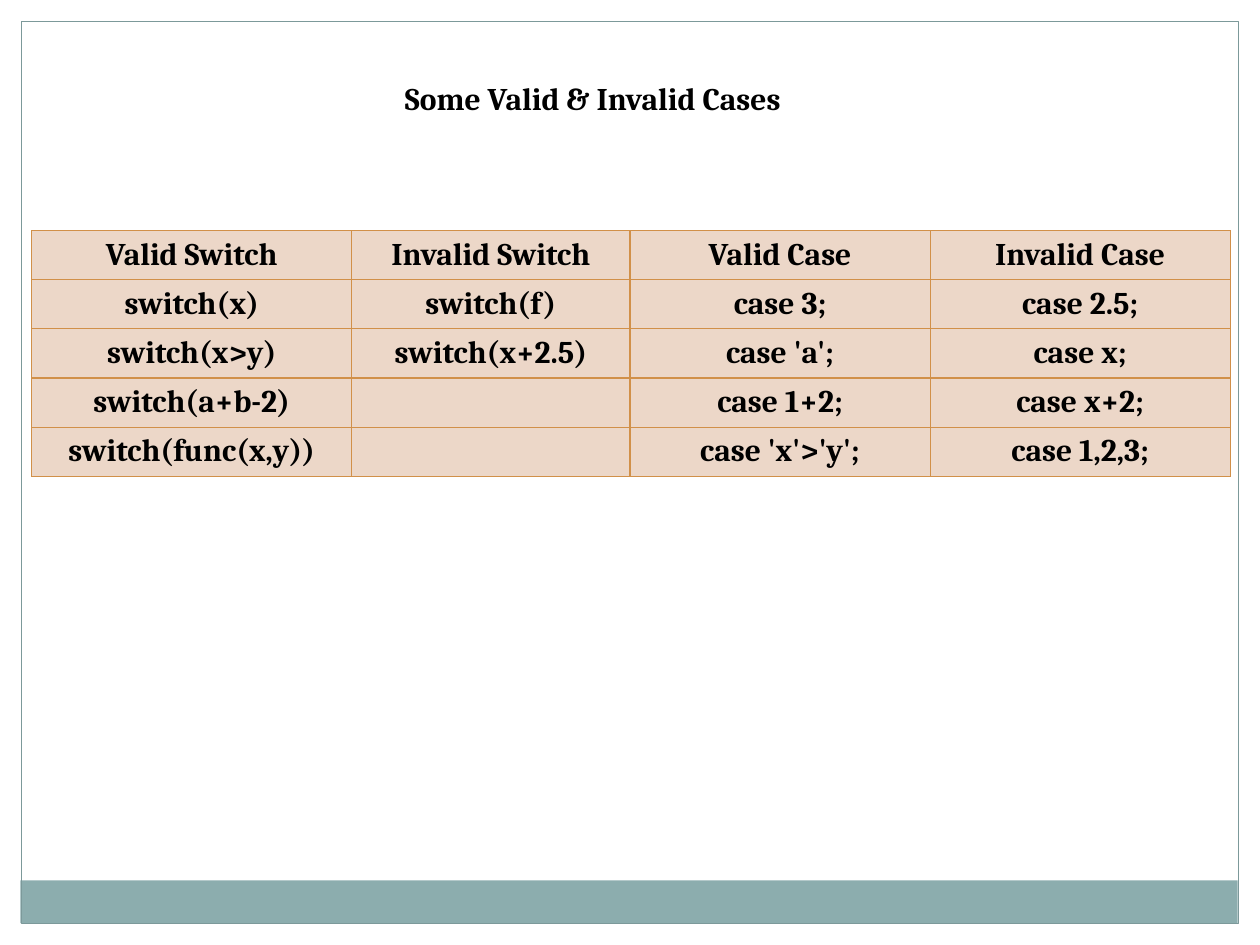
from lxml.etree import SubElement
from pptx import Presentation
from pptx.dml.color import RGBColor
from pptx.enum.shapes import MSO_SHAPE
from pptx.enum.text import MSO_ANCHOR, PP_ALIGN
from pptx.oxml.ns import qn
from pptx.util import Cm, Pt

TITLE = "Some Valid & Invalid Cases"
ROWS = [
    ("Valid Switch", "Invalid Switch", "Valid Case", "Invalid Case"),
    ("switch(x)", "switch(f)", "case 3;", "case 2.5;"),
    ("switch(x>y)", "switch(x+2.5)", "case 'a';", "case x;"),
    ("switch(a+b-2)", "", "case 1+2;", "case x+2;"),
    ("switch(func(x,y))", "", "case 'x'>'y';", "case 1,2,3;"),
]
COLUMN_WIDTHS = (6.45, 5.61, 6.05, 6.05)
ROW_HEIGHT = 0.99
PAGE_WIDTH, PAGE_HEIGHT, MARGIN = 25.4, 19.05, 0.43


class Theme:
    font = "Cambria"
    size = Pt(18)
    line_width = Pt(0.75)
    text = RGBColor.from_string("000000")
    paper = RGBColor.from_string("FFFFFF")
    footer = RGBColor.from_string("8CADAE")
    frame = RGBColor.from_string("7C999A")
    cell = RGBColor.from_string("ECD7C8")
    border = RGBColor.from_string("D19049")


def add_rectangle(page, bounds, fill=None, line=None):
    box = page.shapes.add_shape(MSO_SHAPE.RECTANGLE, *map(Cm, bounds))
    box.shadow.inherit = False
    if fill is None:
        box.fill.background()
    else:
        box.fill.solid()
        box.fill.fore_color.rgb = fill
    if line is None:
        box.line.fill.background()
    else:
        box.line.color.rgb = line
        box.line.width = Theme.line_width


def write(frame, text):
    paragraph = frame.paragraphs[0]
    paragraph.text = text
    paragraph.alignment = PP_ALIGN.CENTER
    font = paragraph.font
    font.name, font.size, font.bold = Theme.font, Theme.size, True
    font.color.rgb = Theme.text


def add_borders(cell):
    properties = cell._tc.get_or_add_tcPr()
    for side in ("a:lnL", "a:lnR", "a:lnT", "a:lnB"):
        line = SubElement(properties, qn(side), w=str(int(Theme.line_width)))
        fill = SubElement(line, qn("a:solidFill"))
        SubElement(fill, qn("a:srgbClr"), val=str(Theme.border))


def add_background(page):
    inner_width = PAGE_WIDTH - 2 * MARGIN
    for bounds in (
        (0, 0, PAGE_WIDTH, MARGIN),
        (PAGE_WIDTH - MARGIN, 0, MARGIN, PAGE_HEIGHT),
        (0, 0, MARGIN, PAGE_HEIGHT),
    ):
        add_rectangle(page, bounds, fill=Theme.paper)
    add_rectangle(page, (0.41, 17.75, inner_width, 0.86), fill=Theme.footer)
    add_rectangle(page, (MARGIN, MARGIN, inner_width, 18.19), line=Theme.frame)


def add_title(page):
    title = page.shapes.title
    title.left, title.top, title.width, title.height = map(Cm, (5.28, 1.47, 13.34, 1.02))
    title.text_frame.vertical_anchor = MSO_ANCHOR.TOP
    write(title.text_frame, TITLE)


def add_cases(page):
    table = page.shapes.add_table(
        len(ROWS), len(COLUMN_WIDTHS), Cm(0.64), Cm(4.65),
        Cm(sum(COLUMN_WIDTHS)), Cm(ROW_HEIGHT * len(ROWS)),
    ).table
    for column, width in zip(table.columns, COLUMN_WIDTHS):
        column.width = Cm(width)
    for row, texts in zip(table.rows, ROWS):
        row.height = Cm(ROW_HEIGHT)
        for cell, text in zip(row.cells, texts):
            add_borders(cell)
            cell.fill.solid()
            cell.fill.fore_color.rgb = Theme.cell
            cell.vertical_anchor = MSO_ANCHOR.MIDDLE
            write(cell.text_frame, text)


def main():
    deck = Presentation()
    deck.slide_width, deck.slide_height = Cm(PAGE_WIDTH), Cm(PAGE_HEIGHT)
    page = deck.slides.add_slide(deck.slide_layouts[5])
    add_background(page)
    add_title(page)
    add_cases(page)
    deck.save("out.pptx")


if __name__ == "__main__":
    main()
